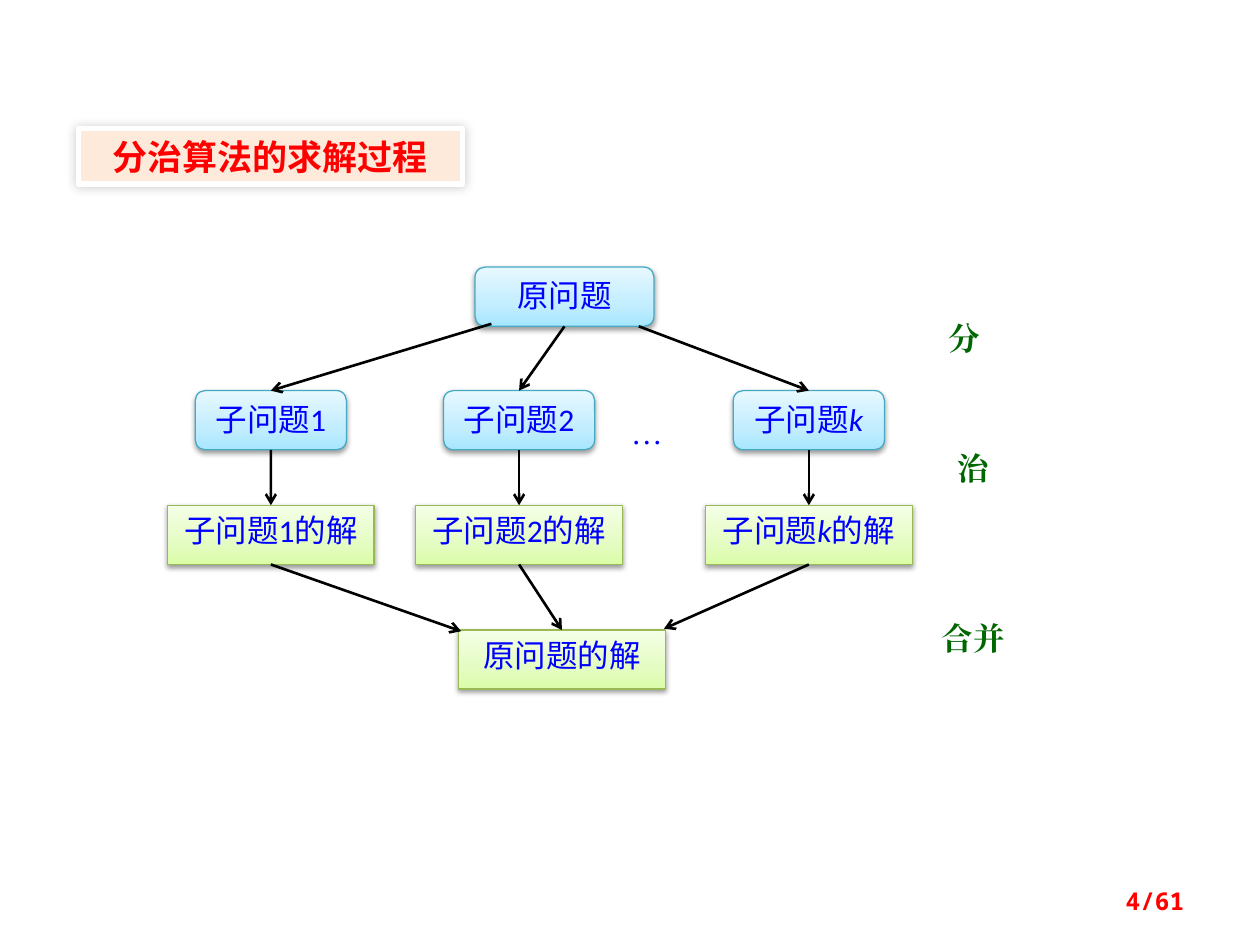
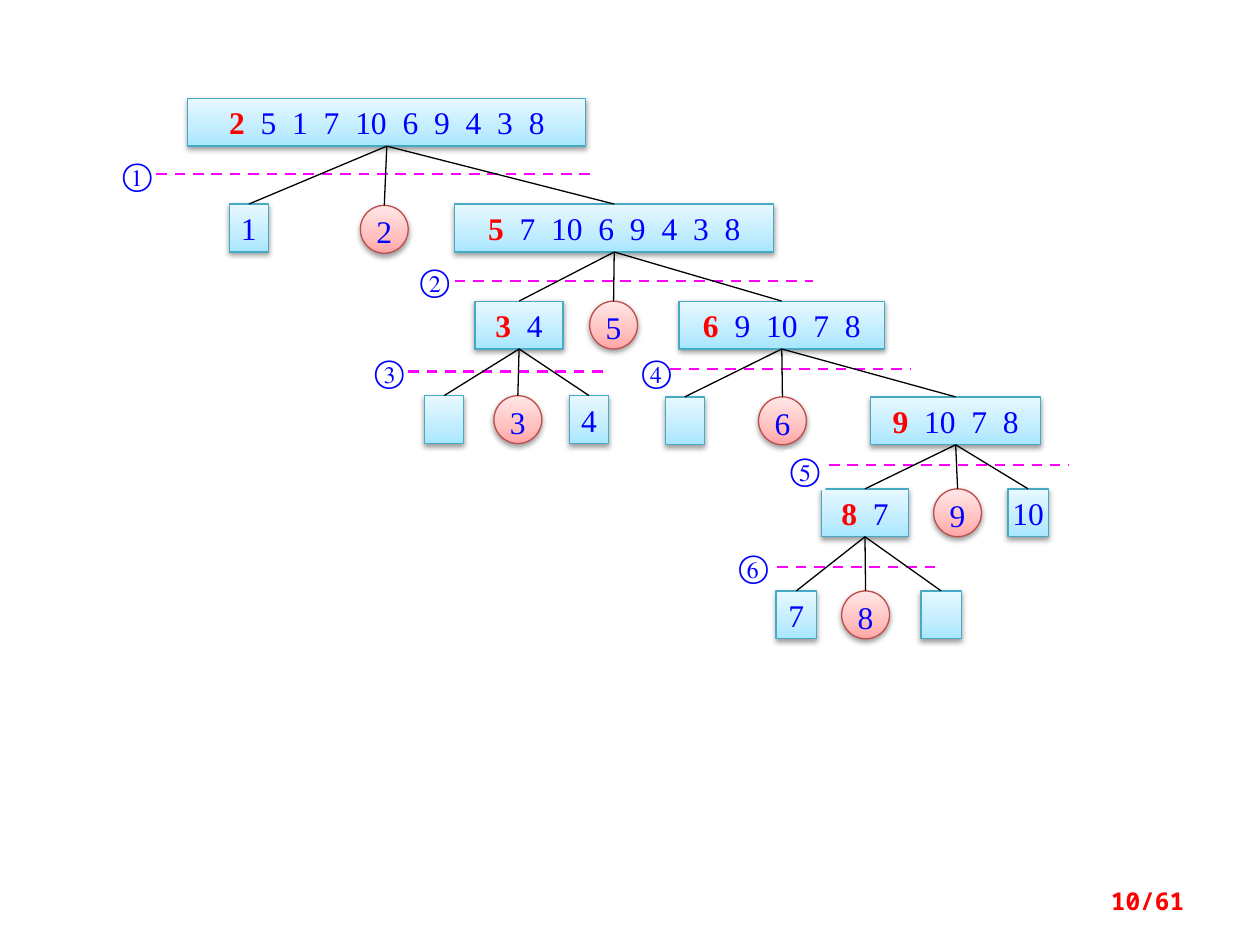
from lxml import etree
from pptx import Presentation
from pptx.dml.color import RGBColor
from pptx.enum.dml import MSO_LINE
from pptx.enum.shapes import MSO_CONNECTOR, MSO_SHAPE
from pptx.enum.text import MSO_ANCHOR, MSO_AUTO_SIZE, PP_ALIGN
from pptx.oxml import parse_xml
from pptx.oxml.ns import qn
from pptx.util import Inches, Pt

RECTANGLE = MSO_SHAPE.RECTANGLE
ROUNDED = MSO_SHAPE.ROUNDED_RECTANGLE
OVAL = MSO_SHAPE.OVAL
STRAIGHT = MSO_CONNECTOR.STRAIGHT
DASH = MSO_LINE.DASH
TOP, MIDDLE = MSO_ANCHOR.TOP, MSO_ANCHOR.MIDDLE
CENTER, RIGHT = PP_ALIGN.CENTER, PP_ALIGN.RIGHT

NAMESPACE = "http://schemas.openxmlformats.org/drawingml/2006/main"
RED, BLUE, GREEN, BLACK, MAGENTA = "FF0000", "0000FF", "006600", "000000", "FF00FF"
SERIF = "Times New Roman"
SIDE_TOP, SIDE_BOTTOM = 0, 2
BOX_SHADOW = (38, 3.1, 1.6, 90)

PLAIN = dict(fill=None, line=None, line_width=0.75, shadow=None, font=SERIF, size=18,
             color=BLUE, bold=False, insets=(0, 0, 0, 0), anchor=TOP, align=CENTER)
TITLE = PLAIN | dict(fill="FDEADA", line="FFFFFF", line_width=3, shadow=(20, 6, 0, 315),
                     font="Noto Sans CJK SC", size=20, color=RED, bold=True,
                     insets=(0.1, 0.05, 0.1, 0.05), anchor=MIDDLE)
PAGE_NUMBER = PLAIN | dict(font="Noto Sans Mono", size=14, color=RED, bold=True,
                           insets=(0.1, 0.05, 0.1, 0.05), anchor=MIDDLE, align=RIGHT)
BLUE_BOX = PLAIN | dict(fill=("A7E6FF", "C1EDFF", "E7F8FF"), line="46AAC5", shadow=BOX_SHADOW)
PROBLEM = BLUE_BOX | dict(font="Calibri", insets=(0, 0.05, 0, 0.05))
SOLUTION = PROBLEM | dict(fill=("DAFDA7", "E4FCC2", "F5FFE7"), line="98B955")
PHASE = PLAIN | dict(color=GREEN, bold=True)
ARRAY = BLUE_BOX | dict(insets=(0, 0.04, 0, 0))
PIVOT = BLUE_BOX | dict(fill=("FFA6A5", "FFC0BF", "FFE7E7"), line="BF4C48")
STEP = PLAIN | dict(fill="FFFFFF")


def format_box(shape, style, runs):
    shape.shadow.inherit = False
    if style["fill"] is None:
        shape.fill.background()
    else:
        shape.fill.solid()
        if isinstance(style["fill"], str):
            shape.fill.fore_color.rgb = RGBColor.from_string(style["fill"])
        else:
            stops = "".join(f'<a:gs pos="{position}"><a:srgbClr val="{color}"/></a:gs>'
                            for position, color in zip((0, 35000, 100000), style["fill"]))
            solid = shape._element.spPr.find(qn("a:solidFill"))
            solid.getparent().replace(solid, parse_xml(
                f'<a:gradFill xmlns:a="{NAMESPACE}" rotWithShape="1"><a:gsLst>{stops}</a:gsLst>'
                '<a:lin ang="16200000" scaled="0"/></a:gradFill>'))
    if style["line"]:
        shape.line.color.rgb = RGBColor.from_string(style["line"])
        shape.line.width = Pt(style["line_width"])
    else:
        shape.line.fill.background()
    if style["shadow"]:
        alpha, blur, distance, angle = style["shadow"]
        shape._element.spPr.find(qn("a:effectLst")).append(parse_xml(
            f'<a:outerShdw xmlns:a="{NAMESPACE}" blurRad="{Pt(blur)}" dist="{Pt(distance)}" '
            f'dir="{angle * 60000}" algn="ctr" rotWithShape="0"><a:srgbClr val="{BLACK}">'
            f'<a:alpha val="{alpha * 1000}"/></a:srgbClr></a:outerShdw>'))
    frame = shape.text_frame
    frame.auto_size = MSO_AUTO_SIZE.NONE
    frame.word_wrap = True
    frame.vertical_anchor = style["anchor"]
    frame.margin_left, frame.margin_top, frame.margin_right, frame.margin_bottom = map(
        Inches, style["insets"])
    paragraph = frame.paragraphs[0]
    paragraph.alignment = style["align"]
    for text in runs:
        run = paragraph.add_run()
        run.text = text
        run.font.name = style["font"]
        run.font.size = Pt(style["size"])
        run.font.bold = style["bold"]
        run.font.color.rgb = RGBColor.from_string(style["color"])
        if text == "k":
            run.font.italic = True
        properties = run._r.get_or_add_rPr()
        if text == " ":
            properties.set("spc", "450")
        east_asian = etree.Element(qn("a:ea"), typeface=style["font"])
        properties.find(qn("a:latin")).addnext(east_asian)


def add_line(slide, start, end, color, width):
    points = [(0, 0) if hasattr(point[0], "shape_id") else point for point in (start, end)]
    line = slide.shapes.add_connector(
        STRAIGHT, *(Inches(value) for point in points for value in point))
    if hasattr(start[0], "shape_id"):
        line.begin_connect(*start)
    if hasattr(end[0], "shape_id"):
        line.end_connect(*end)
    line.line.color.rgb = RGBColor.from_string(color)
    line.line.width = Pt(width)
    etree.SubElement(line._element.spPr, qn("a:effectLst"))
    return line


presentation = Presentation()
presentation.slide_width, presentation.slide_height = Inches(10), Inches(7.5)

process_slide = presentation.slides.add_slide(presentation.slide_layouts[5])
title = process_slide.shapes.title
title.left, title.top, title.width, title.height = map(Inches, (0.62, 1.02, 3.05, 0.44))
format_box(title, TITLE, ["分治算法的求解过程"])

process_boxes = [
    ("problem", ROUNDED, PROBLEM, 3.77, 2.12, 1.42, 0.47, ["原问题"]),
    ("solution", RECTANGLE, SOLUTION, 3.64, 5, 1.64, 0.47, ["原问题的解"]),
    ("dots", ROUNDED, PLAIN, 4.86, 3.26, 0.55, 0.32, ["…"]),
    ("divide", ROUNDED, PHASE, 7.38, 2.52, 0.55, 0.32, ["分"]),
    ("conquer", ROUNDED, PHASE, 7.45, 3.55, 0.55, 0.32, ["治"]),
    ("combine", ROUNDED, PHASE, 7.45, 4.9, 0.55, 0.32, ["合并"]),
]
for index, center in (("1", 2.15), ("2", 4.12), ("k", 6.42)):
    process_boxes += [
        ("sub" + index, ROUNDED, PROBLEM, center - 0.6, 3.1, 1.2, 0.47, ["子问题", index]),
        ("answer" + index, RECTANGLE, SOLUTION, center - 0.82, 4.01, 1.64, 0.47,
         ["子问题", index, "的解"]),
    ]
boxes = {}
for name, outline, style, left, top, width, height, runs in process_boxes:
    boxes[name] = process_slide.shapes.add_shape(
        outline, *map(Inches, (left, top, width, height)))
    format_box(boxes[name], style, runs)

problem_exits = {"1": (3.9, 2.57), "2": (boxes["problem"], SIDE_BOTTOM), "k": (5.07, 2.59)}
solution_entries = {"1": (3.66, 5.01), "2": (boxes["solution"], SIDE_TOP), "k": (5.27, 4.99)}
for index in problem_exits:
    sub, answer = boxes["sub" + index], boxes["answer" + index]
    for start, end in (
        (problem_exits[index], (sub, SIDE_TOP)),
        ((sub, SIDE_BOTTOM), (answer, SIDE_TOP)),
        ((answer, SIDE_BOTTOM), solution_entries[index]),
    ):
        arrow = add_line(process_slide, start, end, BLACK, 1.5)
        etree.SubElement(arrow.line._get_or_add_ln(), qn("a:tailEnd"), type="arrow")

sort_slide = presentation.slides.add_slide(presentation.slide_layouts[6])
arrays = [
    ("root", 1.49, 0.78, 3.16, "2 5 1 7 10 6 9 4 3 8"),
    ("left1", 1.82, 1.62, 0.31, "1"),
    ("right1", 3.61, 1.62, 2.53, "5 7 10 6 9 4 3 8"),
    ("left2", 3.77, 2.39, 0.7, "3 4"),
    ("right2", 5.39, 2.39, 1.63, "6 9 10 7 8"),
    ("left3", 3.37, 3.14, 0.31, ""),
    ("right3", 4.52, 3.14, 0.31, "4"),
    ("left4", 5.28, 3.15, 0.31, ""),
    ("right4", 6.91, 3.15, 1.35, "9 10 7 8"),
    ("left5", 6.52, 3.88, 0.69, "8 7"),
    ("right5", 8, 3.88, 0.32, "10"),
    ("left6", 6.16, 4.69, 0.32, "7"),
    ("right6", 7.31, 4.69, 0.32, ""),
]
nodes = {}
for name, left, top, width, text in arrays:
    nodes[name] = sort_slide.shapes.add_shape(
        RECTANGLE, *map(Inches, (left, top, width, 0.38)))
    values = text.split()
    runs = [part for value in values for part in (" ", value)][1:]
    format_box(nodes[name], ARRAY, runs)
    if len(values) > 1:
        pivot_font = nodes[name].text_frame.paragraphs[0].runs[0].font
        pivot_font.bold = True
        pivot_font.color.rgb = RGBColor.from_string(RED)

splits = [
    ("①", "root", "2", 2.86, 1.63, 0.93, 1.23, 1.24, 4.72, 1.38),
    ("②", "right1", "5", 4.68, 2.39, 3.29, 2.07, 3.61, 6.45, 2.23),
    ("③", "left2", "3", 3.92, 3.14, 2.93, 2.79, 3.24, 4.82, 2.95),
    ("④", "right2", "6", 6.02, 3.15, 5.05, 2.79, 5.32, 7.22, 2.93),
    ("⑤", "right4", "9", 7.41, 3.88, 6.23, 3.57, 6.58, 8.48, 3.69),
    ("⑥", "left5", "8", 6.68, 4.69, 5.82, 4.34, 6.17, 7.44, 4.5),
]
for number, split in enumerate(splits, 1):
    step, parent, pivot, left, top, step_left, step_top, dash_start, dash_end, dash_y = split
    circle = sort_slide.shapes.add_shape(OVAL, *map(Inches, (left, top, 0.38, 0.38)))
    format_box(circle, PIVOT, [pivot])
    label = sort_slide.shapes.add_shape(
        RECTANGLE, *map(Inches, (step_left, step_top, 0.32, 0.32)))
    format_box(label, STEP, [step])
    divider = add_line(sort_slide, (dash_start, dash_y), (dash_end, dash_y), MAGENTA, 1.5)
    divider.line.dash_style = DASH
    for child in (circle, nodes[f"left{number}"], nodes[f"right{number}"]):
        add_line(sort_slide, (nodes[parent], SIDE_BOTTOM), (child, SIDE_TOP), BLACK, 0.75)

for slide, page in ((process_slide, "4/61"), (sort_slide, "10/61")):
    footer = slide.shapes.add_textbox(*map(Inches, (7.17, 6.95, 2.33, 0.4)))
    format_box(footer, PAGE_NUMBER, [page])

presentation.save("out.pptx")
